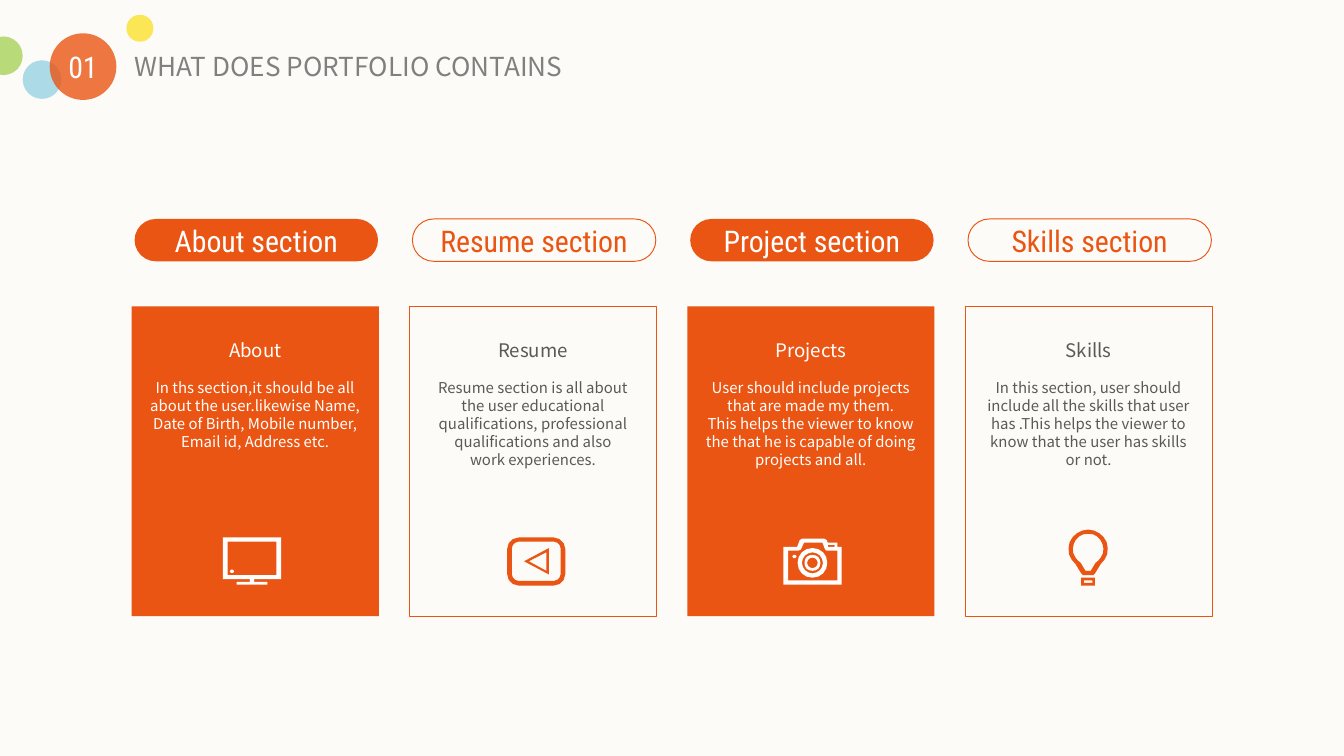
from math import cos, radians, sin

from lxml.etree import SubElement
from pptx import Presentation
from pptx.dml.color import RGBColor
from pptx.enum.shapes import MSO_SHAPE as Shape
from pptx.enum.text import MSO_ANCHOR as Anchor, MSO_AUTO_SIZE as AutoSize, PP_ALIGN as Align
from pptx.oxml.ns import qn
from pptx.util import Cm, Pt

COLORS = {"paper": "FCFBF7", "orange": "EA5514", "white": "FFFFFF", "text": "595959",
          "title": "808080", "yellow": "FBE22D", "green": "A9D25A", "blue": "98D2E3"}
BODY_FONT, LABEL_FONT = "Noto Sans CJK SC", "Roboto Condensed"


# Icon outlines, in hundredths of a centimetre around the icon's top centre
def arc(x, y, radius, start=0, end=360, steps=16):
    angles = [radians(start + (end - start) * i / steps) for i in range(steps + 1)]
    return [(round(x + radius * cos(a)), round(y + radius * sin(a))) for a in angles]


def circle(x, y, radius, steps=16):
    return arc(x, y, radius, steps=steps)[:-1]


def block(left, top, right, bottom, radius=0):
    if not radius:
        return [(left, top), (right, top), (right, bottom), (left, bottom)]
    corners = [(right - radius, bottom - radius, 0), (left + radius, bottom - radius, 90),
               (left + radius, top + radius, 180), (right - radius, top + radius, 270)]
    return [point for x, y, a in corners for point in arc(x, y, radius, a, a + 90, 3)]


MONITOR = [block(-55, 0, 55, 79), block(-46, 8, 46, 71), circle(-38, 64, 4, 6),
           block(-4, 79, 4, 84), block(-29, 84, 29, 89)]
PLAYER = [block(-55, 0, 55, 91, 22), block(-46, 8, 46, 82, 12),
          [(24, 20), (24, 70), (-23, 45)], [(19, 28), (19, 63), (-14, 45)]]
CAMERA = [[(-55, 18), (-29, 18), (-24, 5), (-19, 2), (22, 2), (27, 5), (29, 10),
           (47, 10), (47, 18), (55, 18), (55, 89), (-55, 89)],
          [(-46, 25), (-27, 25), (-22, 23), (-16, 10), (19, 10), (24, 23), (27, 25),
           (47, 25), (47, 81), (-46, 81)],
          block(29, 14, 42, 18), circle(-34, 36, 4, 6)]
CAMERA += [circle(0, 48, radius) for radius in (28, 20, 15, 10)]
BULB = [arc(0, 30, 37, 130, 410) + [(13, 76), (10, 79), (-10, 79), (-13, 76)],
        arc(0, 30, 29, 130, 410) + [(14, 56), (5, 71), (-5, 71), (-14, 56)],
        block(-13, 84, 13, 99), block(-8, 89, 8, 94)]

TITLE = "WHAT DOES PORTFOLIO CONTAINS"
# label, heading, body paragraphs, icon, icon offset from the card's centre
SECTIONS = [
    ("About section", "About",
     ["In ths section,it should be all about the user.likewise Name, Date of Birth, "
      "Mobile number, Email id, Address etc."], MONITOR, -0.06),
    ("Resume section", "Resume",
     ["Resume section is all about the user educational qualifications, "
      "professional qualifications and also", "work experiences."], PLAYER, 0.06),
    ("Project section", "Projects",
     ["User should include projects that are made my them.",
      "This helps the viewer to know the that he is capable of doing projects and all."],
     CAMERA, 0.03),
    ("Skills section", "Skills",
     ["In this section, user should include all the skills that user has .This helps "
      "the viewer to know that the user has skills or not."], BULB, -0.01),
]
# left, top, diameter, colour, text
BUBBLES = [(2.39, 0.28, 0.51, "yellow", ""), (-0.3, 0.69, 0.73, "green", ""),
           (0.43, 1.14, 0.73, "blue", ""), (0.94, 0.63, 1.26, "orange", "01")]

CARD_LEFT, CARD_WIDTH, CARD_STEP = 2.49, 4.67, 5.25
PILL_WIDTH, TEXT_WIDTH = 4.6, 4.01


def rgb(name):
    return RGBColor.from_string(COLORS[name])


def paint(shape, fill, line=None, alpha=None):
    shape.shadow.inherit = False
    shape.fill.solid()
    shape.fill.fore_color.rgb = rgb(fill)
    if alpha:
        color = shape.element.spPr.find(qn("a:solidFill"))[0]
        SubElement(color, qn("a:alpha"), val=str(alpha * 1000))
    if line:
        shape.line.color.rgb = rgb(line)
        shape.line.width = Pt(0.5)
    else:
        shape.line.fill.background()


def write(shape, lines, color, font, margin=0, align=Align.CENTER, anchor=Anchor.MIDDLE):
    """Lines are (text, size, space before)."""
    frame = shape.text_frame
    frame.word_wrap = True
    frame.auto_size = AutoSize.NONE
    frame.vertical_anchor = anchor
    frame.margin_left = frame.margin_right = Cm(margin)
    frame.margin_top = frame.margin_bottom = 0
    for i, (text, size, before) in enumerate(lines):
        para = frame.paragraphs[0] if i == 0 else frame.add_paragraph()
        para.text = text
        para.alignment = align
        para.space_before = Pt(before)
        para.font.size = Pt(size)
        para.font.name = font
        para.font.color.rgb = rgb(color)


def draw_icon(shapes, contours, center, top, color):
    builder = shapes.build_freeform(*contours[0][0], scale=Cm(0.01))
    for i, points in enumerate(contours):
        if i:
            builder.move_to(*points[0])
        builder.add_line_segments(points[1:], close=True)
    paint(builder.convert_to_shape(Cm(center), Cm(top)), color)


deck = Presentation()
deck.slide_width, deck.slide_height = Cm(25.4), Cm(14.29)
page = deck.slides.add_slide(deck.slide_layouts[5])
page.background.fill.solid()
page.background.fill.fore_color.rgb = rgb("paper")
shapes = page.shapes

# Title and bubbles
title = shapes.title
title.left, title.top, title.width, title.height = Cm(2.54), Cm(0.96), Cm(10.8), Cm(0.6)
write(title, [(TITLE, 14, 0)], "title", BODY_FONT, align=Align.LEFT, anchor=Anchor.TOP)
for left, top, size, color, text in BUBBLES:
    bubble = shapes.add_shape(Shape.OVAL, Cm(left), Cm(top), Cm(size), Cm(size))
    paint(bubble, color, alpha=80)
    if text:
        write(bubble, [(text, 16, 0)], "white", LABEL_FONT)

# One column per section, filled and outlined in turn
for i, (label, heading, body, icon, offset) in enumerate(SECTIONS):
    filled = i % 2 == 0
    fill, line = ("orange", None) if filled else ("paper", "orange")
    accent = "white" if filled else "orange"
    left = CARD_LEFT + i * CARD_STEP
    center = left + CARD_WIDTH / 2

    card = shapes.add_shape(Shape.RECTANGLE, Cm(left), Cm(5.79), Cm(CARD_WIDTH), Cm(5.86))
    paint(card, fill, line)

    pill = shapes.add_shape(Shape.ROUNDED_RECTANGLE, Cm(center - PILL_WIDTH / 2 + 0.02),
                            Cm(4.14), Cm(PILL_WIDTH), Cm(0.8))
    pill.adjustments[0] = 0.5
    paint(pill, fill, line)
    write(pill, [(label, 16, 0)], accent, LABEL_FONT, margin=0.25)

    box = shapes.add_textbox(Cm(center - TEXT_WIDTH / 2), Cm(6.4), Cm(TEXT_WIDTH), Cm(2.5))
    lines = [(heading, 10, 0)] + [(text, 8, 0 if n else 9.6) for n, text in enumerate(body)]
    write(box, lines, "white" if filled else "text", BODY_FONT, anchor=Anchor.TOP)

    draw_icon(shapes, icon, center + offset, 10.08 if icon is BULB else 10.16, accent)

deck.save("out.pptx")
